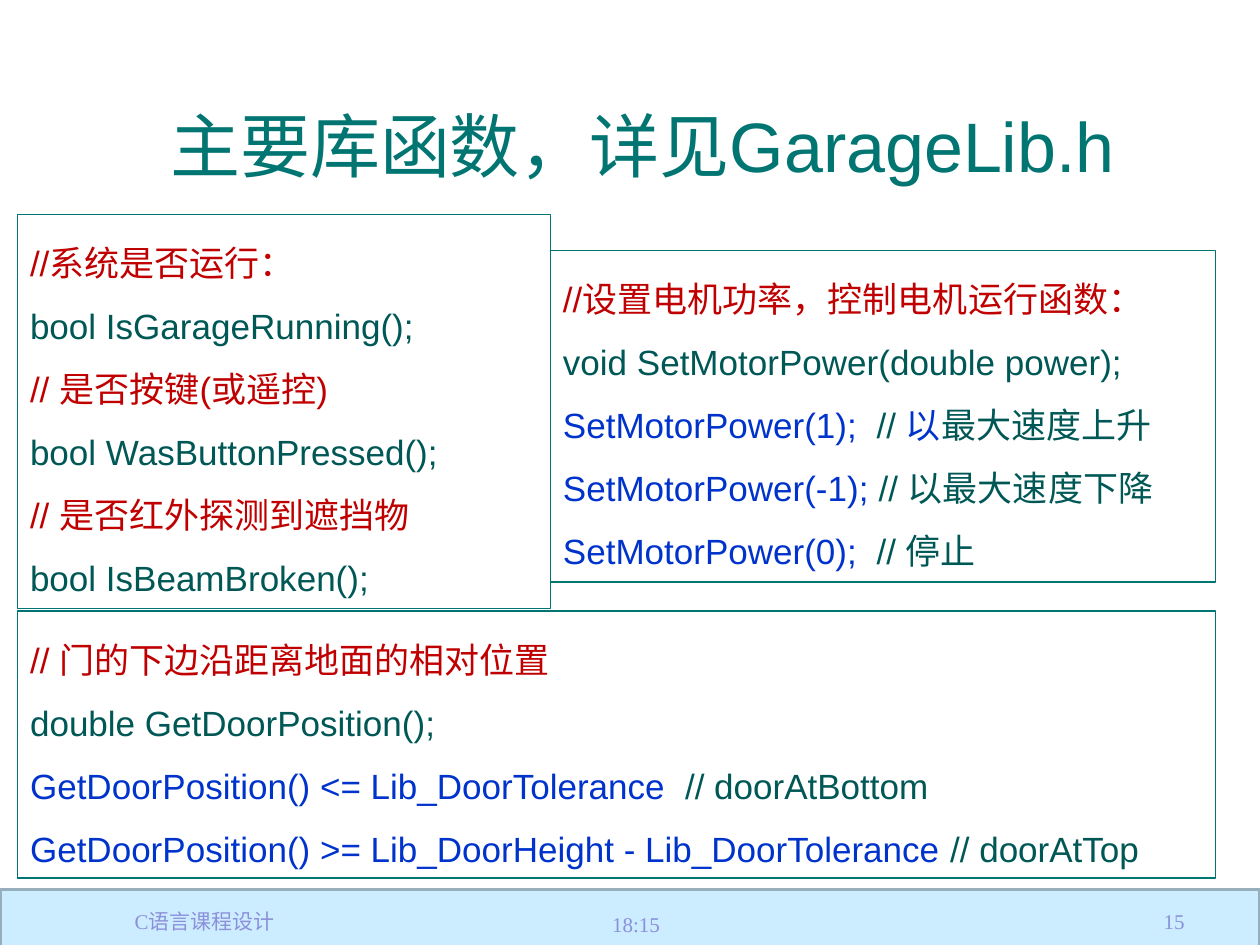
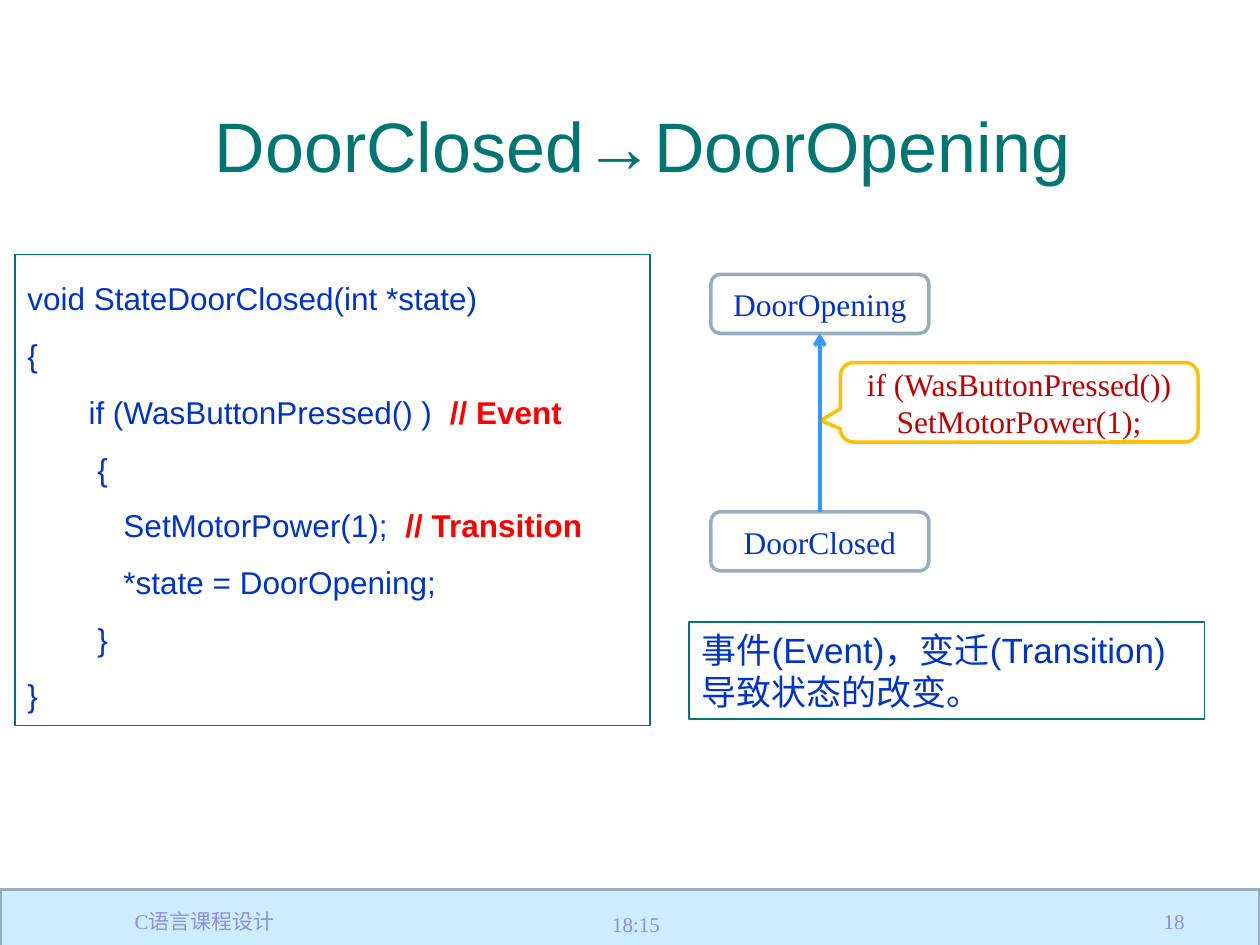
from dataclasses import dataclass
from typing import NamedTuple

from lxml import etree
from pptx import Presentation
from pptx.dml.color import RGBColor
from pptx.enum import shapes, text
from pptx.oxml import ns
from pptx.util import Pt


@dataclass(frozen=True)
class Theme:
    title: str = "007572"
    code: str = "005856"
    call: str = "0033CC"
    comment: str = "C00000"
    alert: str = "FF0000"
    band: str = "CCECFF"
    frame: str = "97AFBD"
    callout: str = "FFC000"
    arrow: str = "3399FF"
    footer: str = "8C90DA"
    sans: str = "Arial"
    serif: str = "Times New Roman"
    title_size: float = 40
    large_size: float = 20
    body_size: float = 18
    footer_size: float = 12
    thin: float = 0.75
    thick: float = 2
    arrow_width: float = 2.25


THEME = Theme()
ALIGN = text.PP_ALIGN
ANCHOR = text.MSO_ANCHOR
PRESET = shapes.MSO_SHAPE


class Area(NamedTuple):
    left: float
    top: float
    width: float
    height: float


class Span(NamedTuple):
    text: str
    color: str
    bold: bool = False


@dataclass(frozen=True)
class Panel:
    area: Area
    lines: list
    size: float = THEME.large_size
    spacing: float = 1.5


@dataclass(frozen=True)
class Node:
    area: Area
    lines: list
    preset: int = PRESET.ROUNDED_RECTANGLE
    border: str = THEME.frame


def comment(words: str) -> list:
    return [Span(words, THEME.comment)]


def code(words: str) -> list:
    return [Span(words, THEME.code)]


def call(words: str, note: str = "") -> list:
    return [Span(words, THEME.call)] + (code(note) if note else [])


def event(words: str, note: str) -> list:
    return [Span(words, THEME.call), Span(note, THEME.alert, True)]


def add_span(para, words: str, *, size: float, font: str, color: str, bold: bool = False) -> None:
    span = para.add_run()
    span.text = words
    span.font.size = Pt(size)
    span.font.name = font
    span.font.bold = bold
    span.font.color.rgb = RGBColor.from_string(color)


def write(box, lines: list, *, size: float, font: str, align=ALIGN.LEFT,
          anchor=ANCHOR.TOP, spacing: float = 1.0) -> None:
    frame = box.text_frame
    frame.word_wrap = True
    frame.vertical_anchor = anchor
    for index, line in enumerate(lines):
        para = frame.add_paragraph() if index else frame.paragraphs[0]
        para.alignment = align
        para.line_spacing = spacing
        for part in line:
            add_span(para, part.text, size=size, font=font, color=part.color, bold=part.bold)


def add_box(page, preset, area: Area, border: str, weight: float, fill: str = ""):
    box = page.shapes.add_shape(preset, *map(Pt, area))
    box.shadow.inherit = False
    if fill:
        box.fill.solid()
        box.fill.fore_color.rgb = RGBColor.from_string(fill)
    else:
        box.fill.background()
    box.line.color.rgb = RGBColor.from_string(border)
    box.line.width = Pt(weight)
    return box


def add_label(page, area: Area, words: str, *, color: str, size: float, font: str, align) -> None:
    box = page.shapes.add_textbox(*map(Pt, area))
    write(box, [[Span(words, color)]], size=size, font=font, align=align, anchor=ANCHOR.MIDDLE)


def add_panel(page, panel: Panel) -> None:
    box = add_box(page, PRESET.RECTANGLE, panel.area, THEME.title, THEME.thin)
    write(box, panel.lines, size=panel.size, font=THEME.sans, spacing=panel.spacing)
    box.text_frame.auto_size = text.MSO_AUTO_SIZE.SHAPE_TO_FIT_TEXT


def add_node(page, node: Node):
    box = add_box(page, node.preset, node.area, node.border, THEME.thick)
    write(box, node.lines, size=THEME.body_size, font=THEME.serif,
          align=ALIGN.CENTER, anchor=ANCHOR.MIDDLE)
    return box


def add_arrow(page, source, target) -> None:
    arrow = page.shapes.add_connector(shapes.MSO_CONNECTOR.STRAIGHT, 0, 0, 0, 0)
    arrow.begin_connect(source, 0)
    arrow.end_connect(target, 2)
    arrow.line.color.rgb = RGBColor.from_string(THEME.arrow)
    arrow.line.width = Pt(THEME.arrow_width)
    etree.SubElement(arrow.line._get_or_add_ln(), ns.qn("a:tailEnd"), type="arrow")
    etree.SubElement(arrow._element.spPr, ns.qn("a:effectLst"))


def add_page(deck, title: str, number: int):
    page = deck.slides.add_slide(deck.slide_layouts[6])
    add_box(page, PRESET.RECTANGLE, Area(0, 508.3, 720, 33.8),
            THEME.frame, THEME.thick, THEME.band)
    add_label(page, Area(28, 43.2, 678.2, 78.5), title, color=THEME.title,
              size=THEME.title_size, font=THEME.sans, align=ALIGN.CENTER)
    footers = [
        (Area(516.2, 512, 167.8, 28.8), str(number), ALIGN.RIGHT),
        (Area(2.9, 512, 228.2, 28.8), "C语言课程设计", ALIGN.CENTER),
        (Area(342.7, 513.4, 167.8, 28.8), "18:15", ALIGN.LEFT),
    ]
    for area, words, align in footers:
        add_label(page, area, words, color=THEME.footer,
                  size=THEME.footer_size, font=THEME.serif, align=align)
    return page


LIBRARY_PANELS = [
    Panel(Area(314.6, 143.2, 380.2, 189.4), [
        comment("//设置电机功率，控制电机运行函数："),
        code("void SetMotorPower(double power);"),
        call("SetMotorPower(1); ", " // ") + call("以", "最大速度上升"),
        call("SetMotorPower(-1); ", "// 以最大速度下降"),
        call("SetMotorPower(0);  ", "// 停止"),
    ]),
    Panel(Area(10.1, 122.4, 304.5, 225.4), [
        comment("//系统是否运行："),
        code("bool IsGarageRunning();"),
        comment("// 是否按键(或遥控)"),
        code("bool WasButtonPressed();"),
        comment("// 是否红外探测到遮挡物"),
        code("bool IsBeamBroken();"),
    ]),
    Panel(Area(10.1, 349.2, 684.7, 152.6), [
        comment("// 门的下边沿距离地面的相对位置"),
        code("double GetDoorPosition();"),
        call("GetDoorPosition() <= Lib_DoorTolerance  ", "// doorAtBottom"),
        call("GetDoorPosition() >= Lib_DoorHeight - Lib_DoorTolerance ", "// doorAtTop"),
    ]),
]

TRANSITION_PANELS = [
    Panel(Area(8.6, 145.4, 362.9, 269.3), [
        call("void StateDoorClosed(int *state)"),
        call("{"),
        event("       if (WasButtonPressed() )  ", "// Event"),
        call("        {"),
        event("           SetMotorPower(1);  ", "// Transition"),
        call("           *state = DoorOpening;"),
        call("        }"),
        call("}"),
    ], size=THEME.body_size),
    Panel(Area(393.8, 355.5, 294.5, 55.4), [
        call("事件(Event)，变迁(Transition)"),
        call("导致状态的改变。"),
    ], spacing=1.0),
]

OPENING = Node(Area(406.2, 156.8, 124.6, 33.8), [call("DoorOpening")])
CLOSED = Node(Area(406.2, 292.5, 124.6, 33.8), [call("DoorClosed")])
CONDITION = Node(
    Area(480.2, 207.2, 204.5, 45.4),
    [comment("if (WasButtonPressed())"), comment("SetMotorPower(1);")],
    PRESET.ROUNDED_RECTANGULAR_CALLOUT,
    THEME.callout,
)


def build_library(deck) -> None:
    page = add_page(deck, "主要库函数，详见GarageLib.h", 15)
    for panel in LIBRARY_PANELS:
        add_panel(page, panel)


def build_transition(deck) -> None:
    page = add_page(deck, "DoorClosed→DoorOpening", 18)
    for panel in TRANSITION_PANELS:
        add_panel(page, panel)
    opening, closed, condition = [add_node(page, node) for node in (OPENING, CLOSED, CONDITION)]
    condition.adjustments[0] = -0.555
    condition.adjustments[1] = 0.228
    add_arrow(page, closed, opening)


def main() -> None:
    deck = Presentation()
    deck.slide_width, deck.slide_height = Pt(720), Pt(540)
    build_library(deck)
    build_transition(deck)
    deck.save("out.pptx")


if __name__ == "__main__":
    main()
